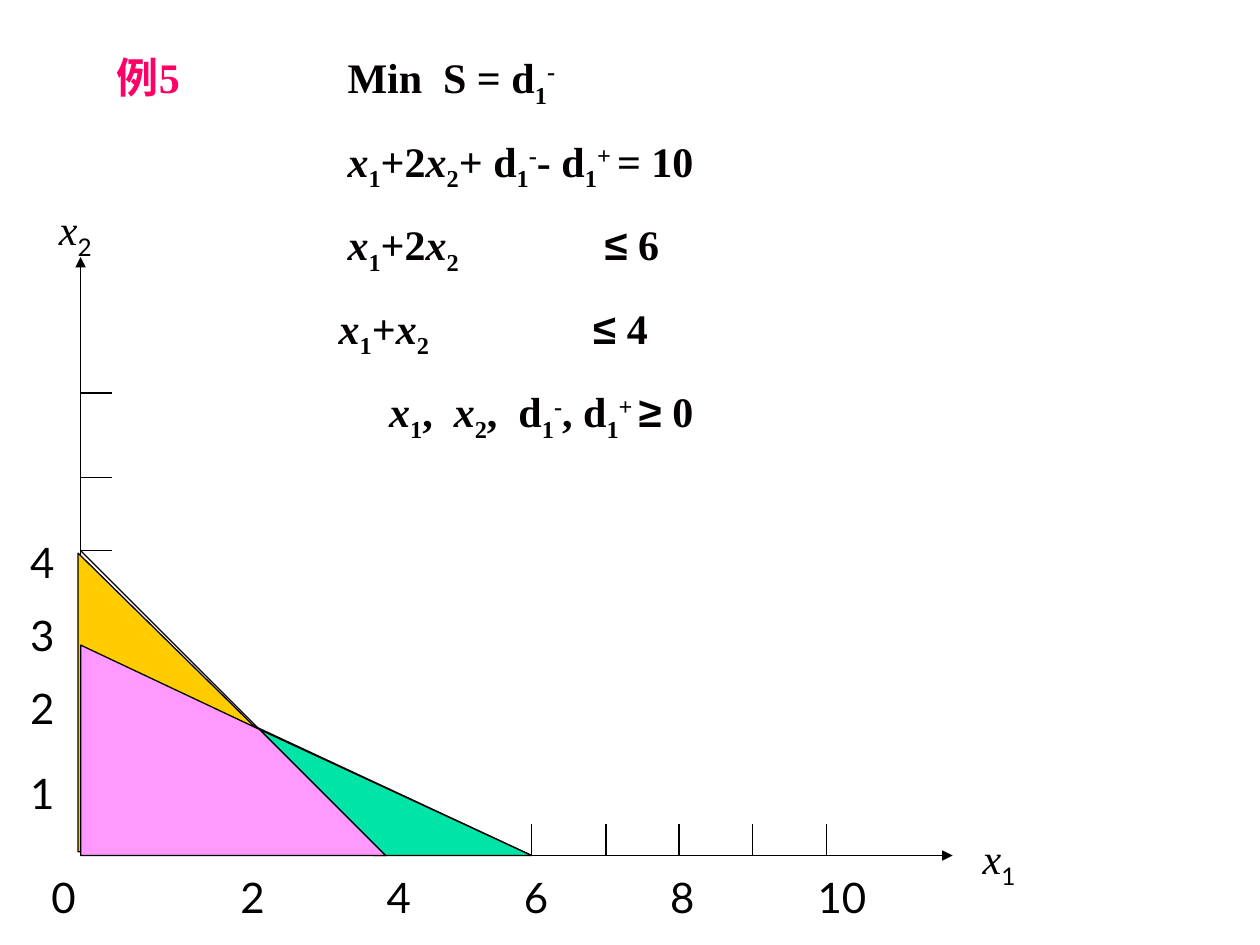
"""Build a slide that solves a goal programming example with a graph."""
from lxml import etree
from pptx import Presentation
from pptx.dml.color import RGBColor
from pptx.enum.dml import MSO_LINE
from pptx.enum.shapes import MSO_CONNECTOR
from pptx.enum.text import MSO_AUTO_SIZE
from pptx.oxml.ns import qn
from pptx.util import Inches, Pt

STRAIGHT = MSO_CONNECTOR.STRAIGHT
SOLID = MSO_LINE.SOLID
GROW = MSO_AUTO_SIZE.SHAPE_TO_FIT_TEXT
BLACK = RGBColor(0x00, 0x00, 0x00)
INK = RGBColor(0x04, 0x00, 0x00)
PINK = RGBColor(0xFF, 0x00, 0x66)
GOLD = RGBColor(0xFF, 0xCC, 0x00)
GREEN = RGBColor(0x00, 0xE4, 0xA8)
VIOLET = RGBColor(0xFF, 0x99, 0xFF)
SERIF, SANS, SYMBOL = "Times New Roman", "Lato", "Arial"
SUB, SUPER = -25000, 30000

ORIGIN_X, ORIGIN_Y = 0.64, 6.79
TICK = 0.25
CROSSING = (2.06, 5.79)
X_FOUR, X_SIX = (3.06, ORIGIN_Y), (4.22, ORIGIN_Y)
Y_THREE, Y_FOUR = (ORIGIN_X, 5.12), (ORIGIN_X, 4.37)

deck = Presentation()
deck.slide_width, deck.slide_height = Inches(10), Inches(7.5)
page = deck.slides.add_slide(deck.slide_layouts[6])


def add_line(start, end, arrow=False):
    line = page.shapes.add_connector(STRAIGHT, *map(Inches, start + end))
    line.line.color.rgb = BLACK
    line.line.width = Pt(0.75)
    line.line.dash_style = SOLID
    properties = line._element.spPr
    etree.SubElement(properties, qn("a:effectLst"))
    if arrow:
        outline = properties.find(qn("a:ln"))
        etree.SubElement(outline, qn("a:tailEnd"), type="triangle")


def add_text(para, text, font=SERIF, color=INK, bold=False, italic=False, baseline=0):
    span = para.add_run()
    span.text = text
    span.font.name = font
    span.font.size = Pt(24)
    span.font.color.rgb = color
    span.font.bold = bold
    span.font.italic = italic
    if baseline:
        span._r.get_or_add_rPr().set("baseline", str(baseline))


add_line((ORIGIN_X, ORIGIN_Y), (7.56, ORIGIN_Y), arrow=True)
add_line((ORIGIN_X, ORIGIN_Y), (ORIGIN_X, 2.04), arrow=True)
for x in (1.22, 1.81, 2.39, 3.06, 3.64, 4.22, 4.81, 5.39, 5.97, 6.56):
    add_line((x, ORIGIN_Y), (x, ORIGIN_Y - TICK))
for y in (6.21, 5.62, 5.04, 4.37, 3.79, 3.12):
    add_line((ORIGIN_X, y), (ORIGIN_X + TICK, y))

digit = {"font": SANS, "color": BLACK}
variable = {"color": BLACK, "italic": True}
index = {"font": SANS, "color": BLACK, "baseline": SUB}
labels = [
    (left, 6.87, 0.62 if number == "10" else 0.42, 0.5, [(number, digit)])
    for number, left in
    (("0", 0.31), ("2", 1.81), ("4", 2.97), ("6", 4.06), ("8", 5.22), ("10", 6.39))
]
labels += [
    (0.14, top, 0.42, 0.5, [(number, digit)])
    for number, top in (("1", 6.04), ("2", 5.37), ("3", 4.79), ("4", 4.21))
]
labels += [
    (7.7, 6.56, 0.58, 0.56, [("x", variable), ("1", index)]),
    (0.37, 1.57, 0.67, 0.56, [("x", variable), ("2", index)]),
]
for left, top, width, height, spans in labels:
    box = page.shapes.add_textbox(*map(Inches, (left, top, width, height)))
    box.text_frame.word_wrap = True
    box.text_frame.auto_size = GROW
    for text, style in spans:
        add_text(box.text_frame.paragraphs[0], text, **style)

add_line(Y_FOUR, X_FOUR)
add_line(Y_THREE, X_SIX)
regions = (
    (GOLD, ((0.62, 4.39), (0.62, 6.76), X_FOUR)),
    (GREEN, (CROSSING, X_SIX, X_FOUR)),
    (VIOLET, (Y_THREE, (ORIGIN_X, ORIGIN_Y), X_FOUR, CROSSING)),
)
for color, corners in regions:
    points = [(Inches(x), Inches(y)) for x, y in corners]
    builder = page.shapes.build_freeform(*points[0])
    builder.add_line_segments(points[1:], close=True)
    region = builder.convert_to_shape()
    region.shadow.inherit = False
    region.fill.solid()
    region.fill.fore_color.rgb = color
    region.line.color.rgb = BLACK
    region.line.width = Pt(0.75)

plain = {"bold": True}
heading = {"bold": True, "color": PINK}
italic = {"bold": True, "italic": True}
sub = {"bold": True, "baseline": SUB}
sup = {"bold": True, "baseline": SUPER}
relation = {"bold": True, "font": SYMBOL}
x1 = [("x", italic), ("1", sub)]
x2 = [("x", italic), ("2", sub)]
d_minus = [("d", plain), ("1", sub), ("-", sup)]
d_plus = [("d", plain), ("1", sub), ("+ ", sup)]
gap = [("\t", plain)]
at_most = [("≤", relation)]
model = (
    ((1.83,), [("例5", heading)] + gap + [("Min  S = ", plain)] + d_minus),
    ((1.83,), gap + x1 + [("+2", plain)] + x2 + [("+ ", plain)] + d_minus
     + [("- ", plain)] + d_plus + [("= 10", plain)]),
    ((1.83, 3.87), gap + x1 + [("+2", plain)] + x2 + gap + at_most + [(" 6", plain)]),
    ((1.76, 3.78), gap + x1 + [("+", plain)] + x2 + gap + at_most + [(" 4", plain)]),
    ((2.16,), gap + x1 + [(",  ", plain)] + x2 + [(",  ", plain)] + d_minus
     + [(", ", plain)] + d_plus + [("≥", relation), (" 0", plain)]),
)
box = page.shapes.add_textbox(Inches(0.83), Inches(0.36), Inches(8.58), Inches(3.21))
frame = box.text_frame
frame.word_wrap = True
frame.auto_size = GROW
for row, (stops, spans) in enumerate(model):
    para = frame.add_paragraph() if row else frame.paragraphs[0]
    tabs = etree.SubElement(para._p.get_or_add_pPr(), qn("a:tabLst"))
    for stop in stops:
        etree.SubElement(tabs, qn("a:tab"), pos=str(Inches(stop)), algn="l")
    if row:
        para.space_before = Pt(15)
    for text, style in spans:
        add_text(para, text, **style)

deck.save("out.pptx")
